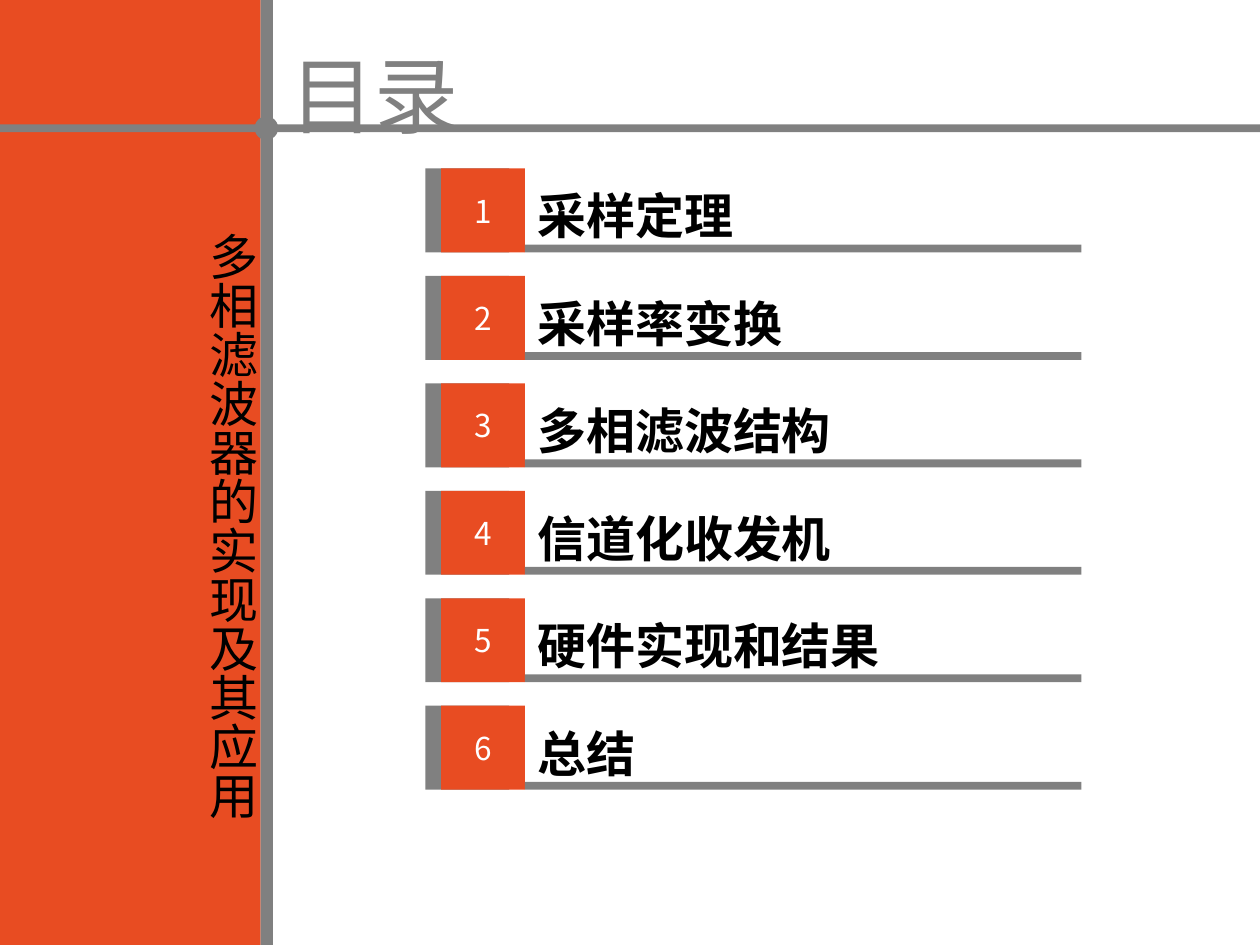
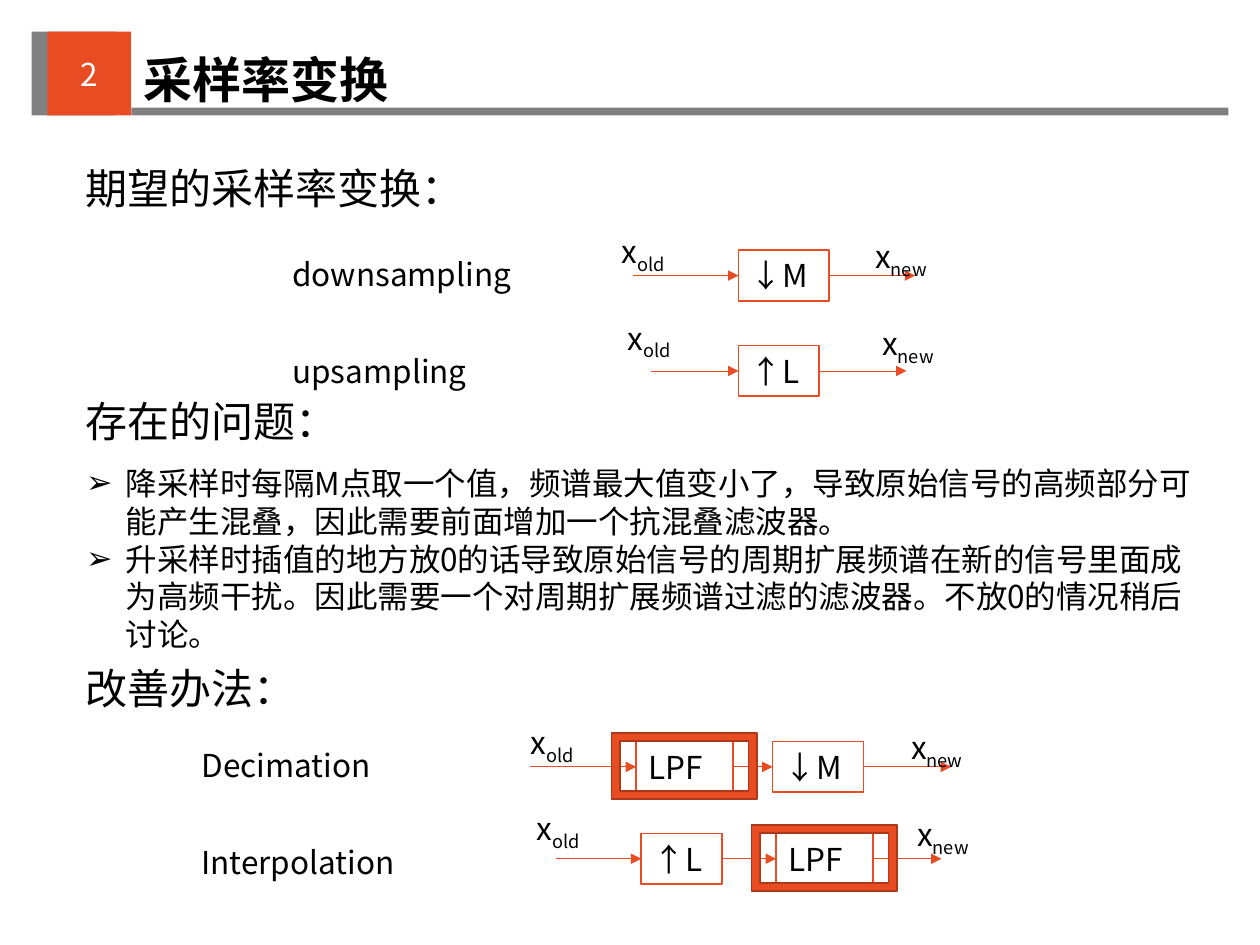
import pptx
import pptx.util
import pptx.dml.color
import pptx.enum.shapes
import pptx.enum.text
import pptx.oxml.ns
from lxml import etree

Pt = pptx.util.Pt
SHAPE = pptx.enum.shapes.MSO_SHAPE
ALIGN = pptx.enum.text.PP_ALIGN
ANCHOR = pptx.enum.text.MSO_ANCHOR
FIT = pptx.enum.text.MSO_AUTO_SIZE
qn = pptx.oxml.ns.qn

FONT = "Noto Sans CJK SC"
ORANGE, DARK_ORANGE, GRAY = "E84C22", "AC3819", "808080"
BLACK, WHITE = "000000", "FFFFFF"
SQUARE, SQUARE_SHIFT, BAR_HEIGHT = 48, 9, 4.5
BLOCK_HEIGHT = 29

AGENDA = ["采样定理", "采样率变换", "多相滤波结构", "信道化收发机", "硬件实现和结果", "总结"]
PROBLEMS = [
    "降采样时每隔M点取一个值，频谱最大值变小了，导致原始信号的高频部分可能产生混叠，因此需要前面增加一个抗混叠滤波器。",
    "升采样时插值的地方放0的话导致原始信号的周期扩展频谱在新的信号里面成为高频干扰。因此需要一个对周期扩展频谱过滤的滤波器。不放0的情况稍后讨论。",
]
HEADINGS = [("期望的采样率变换：", 89.5, 232.5), ("存在的问题：", 222.5, 160), ("改善办法：", 375, 135.5)]
BLOCK_WIDTHS = {"↓M": 52, "↑L": 46, "LPF": 55.5}
CHAINS = [
    dict(box=(160, 142, 171, 29), label="downsampling", blocks=[("↓M", 262)],
         block_dy=1, line=(202, 363), marks=(188, 333), mark_dy=-13),
    dict(box=(160, 197.5, 139, 29), label="upsampling", blocks=[("↑L", 262)],
         block_dy=0, line=(212, 358), marks=(191.5, 337), mark_dy=-19),
    dict(box=(108, 422.5, 137.5, 29), label="Decimation", blocks=[("LPF", 255.5), ("↓M", 333.5)],
         block_dy=1.25, line=(195, 435.5), marks=(188, 405.5), mark_dy=-13),
    dict(box=(108, 478, 152.5, 29), label="Interpolation", blocks=[("↑L", 258.5), ("LPF", 335.5)],
         block_dy=-1.75, line=(209.5, 430), marks=(191.5, 409), mark_dy=-19),
]


def rgb(color):
    return pptx.dml.color.RGBColor.from_string(color)


def style_font(font, size, color, bold=False):
    font.size, font.bold, font.name = Pt(size), bold, FONT
    font.color.rgb = rgb(color)


def style_text(tf, size, color, bold=False, align=ALIGN.LEFT, anchor=ANCHOR.TOP, wrap=True, grow=True):
    tf.word_wrap = wrap
    tf.auto_size = FIT.SHAPE_TO_FIT_TEXT if grow else FIT.NONE
    tf.vertical_anchor = anchor
    for p in tf.paragraphs:
        p.alignment = align
        for r in p.runs:
            style_font(r.font, size, color, bold)
            etree.SubElement(r._r.get_or_add_rPr(), qn("a:ea")).set("typeface", FONT)


def place(sp, box):
    sp.left, sp.top, sp.width, sp.height = map(Pt, box)


def add_box(s, box, fill, kind=SHAPE.RECTANGLE, line=None):
    sp = s.shapes.add_shape(kind, *map(Pt, box))
    sp.shadow.inherit = False
    sp.fill.solid()
    sp.fill.fore_color.rgb = rgb(fill)
    if line:
        sp.line.color.rgb = rgb(line)
        sp.line.width = Pt(1)
    else:
        sp.line.fill.background()
    return sp


def add_label(s, box, text, size, **options):
    sp = s.shapes.add_textbox(*map(Pt, box))
    sp.text_frame.text = text
    style_text(sp.text_frame, size, BLACK, **options)
    return sp


def set_title(s, box, text, size, color, **options):
    title = s.shapes.title
    place(title, box)
    title.text_frame.text = text
    style_text(title.text_frame, size, color, **options)
    title._element.getparent().append(title._element)


def numbered_band(s, box, number):
    x, y, w, h = box
    add_box(s, (x, y, SQUARE, SQUARE), GRAY)
    sp = add_box(s, (x + SQUARE_SHIFT, y, SQUARE, SQUARE), ORANGE)
    sp.text_frame.text = str(number)
    style_text(sp.text_frame, 18, WHITE, align=ALIGN.CENTER, anchor=ANCHOR.MIDDLE, grow=False)
    offset = SQUARE + SQUARE_SHIFT
    add_box(s, (x + offset, y + h - BAR_HEIGHT, w - offset, BAR_HEIGHT), GRAY)
    return x + offset, y + 6.5, w - offset, 41


def sidebar(s, box):
    x, y, w, h = box
    add_box(s, box, ORANGE)
    add_box(s, (0, 71, 720, 4.5), GRAY)
    add_box(s, (x + w, y, 7, h), GRAY)
    sp = add_label(s, (x + 105, y + 126, 48, 346.5), "多相滤波器的实现及其应用", 28,
                   align=ALIGN.CENTER, wrap=False)
    sp.text_frame._txBody.bodyPr.set("vert", "eaVert")
    add_box(s, (x + w - 3.5, y + 66.5, 13.5, 13.5), GRAY, SHAPE.OVAL)


def agenda(s, box):
    x, y, w, h = box
    pitch = (h - SQUARE) / (len(AGENDA) - 1)
    for i, topic in enumerate(AGENDA):
        text_box = numbered_band(s, (x, y + i * pitch, w, SQUARE), i + 1)
        add_label(s, text_box, topic, 28, bold=True)


def add_bullet(p, text):
    p.text = text
    pPr = p._p.get_or_add_pPr()
    pPr.set("marL", str(Pt(22.5)))
    pPr.set("indent", str(Pt(-22.5)))
    etree.SubElement(pPr, qn("a:buChar")).set("char", "➢")
    p.space_before = Pt(0)
    p.line_spacing = Pt(21.6)


def problem_list(body, box):
    place(body, box)
    tf = body.text_frame
    for i, text in enumerate(PROBLEMS):
        add_bullet(tf.add_paragraph() if i else tf.paragraphs[0], text)
    style_text(tf, 18, BLACK)


def add_arrow(s, start, end, source=None, target=None):
    c = s.shapes.add_connector(pptx.enum.shapes.MSO_CONNECTOR.STRAIGHT, *map(Pt, start + end))
    if source is not None:
        c.begin_connect(source, 3)
    if target is not None:
        c.end_connect(target, 1)
    c.line.color.rgb = rgb(ORANGE)
    c.line.width = Pt(0.5)
    etree.SubElement(c.line._get_or_add_ln(), qn("a:tailEnd")).set("type", "triangle")
    etree.SubElement(c._element.spPr, qn("a:effectLst"))


def add_signal(s, x, y, w, subscript):
    sp = s.shapes.add_textbox(*map(Pt, (x, y, w, BLOCK_HEIGHT)))
    p = sp.text_frame.paragraphs[0]
    for text in ("x", subscript):
        p.add_run().text = text
    style_text(sp.text_frame, 18, BLACK, wrap=False)
    p.runs[1]._r.get_or_add_rPr().set("baseline", "-25000")


def signal_chain(s, box, label, blocks, block_dy, line, marks, mark_dy):
    x, y, w, h = box
    add_label(s, box, label, 18, wrap=False)
    top = y + block_dy
    middle = top + BLOCK_HEIGHT / 2
    previous, tail = None, (x + line[0], middle)
    frames = []
    for text, dx in blocks:
        width = BLOCK_WIDTHS[text]
        sp = add_box(s, (x + dx, top, width, BLOCK_HEIGHT), WHITE, line=ORANGE)
        sp.text_frame.text = text
        style_text(sp.text_frame, 18, BLACK, wrap=False)
        add_arrow(s, tail, (x + dx, middle), previous, sp)
        previous, tail = sp, (x + dx + width, middle)
        if text == "LPF":
            frames.append((x + dx - 14, top - 5, 83, 38))
    add_arrow(s, tail, (x + line[1], middle), previous)
    add_signal(s, x + marks[0], y + mark_dy, 42, "old")
    add_signal(s, x + marks[1], y + mark_dy + 3, 49, "new")
    for frame in frames:
        add_box(s, frame, ORANGE, SHAPE.FRAME, DARK_ORANGE)


def contents_slide(prs):
    s = prs.slides.add_slide(prs.slide_layouts[5])
    sidebar(s, (0, 0, 149, 540))
    agenda(s, (243, 96.25, 375, 355))
    set_title(s, (159, 21, 111.5, 65.5), "目录", 48, GRAY, wrap=False)


def conversion_slide(prs):
    s = prs.slides.add_slide(prs.slide_layouts[1])
    x, y, w, h = numbered_band(s, (18, 18, 684, SQUARE), 2)
    set_title(s, (x, y, 507.5, h), AGENDA[1], 28, BLACK, bold=True)
    for text, top, width in HEADINGS:
        add_label(s, (42, top, width, 36), text, 24, wrap=False)
    problem_list(s.placeholders[1], (42, 261.5, 657.5, 116.5))
    for chain in CHAINS:
        signal_chain(s, **chain)


def main():
    prs = pptx.Presentation()
    prs.slide_width, prs.slide_height = Pt(720), Pt(540)
    contents_slide(prs)
    conversion_slide(prs)
    prs.save("out.pptx")


if __name__ == "__main__":
    main()
